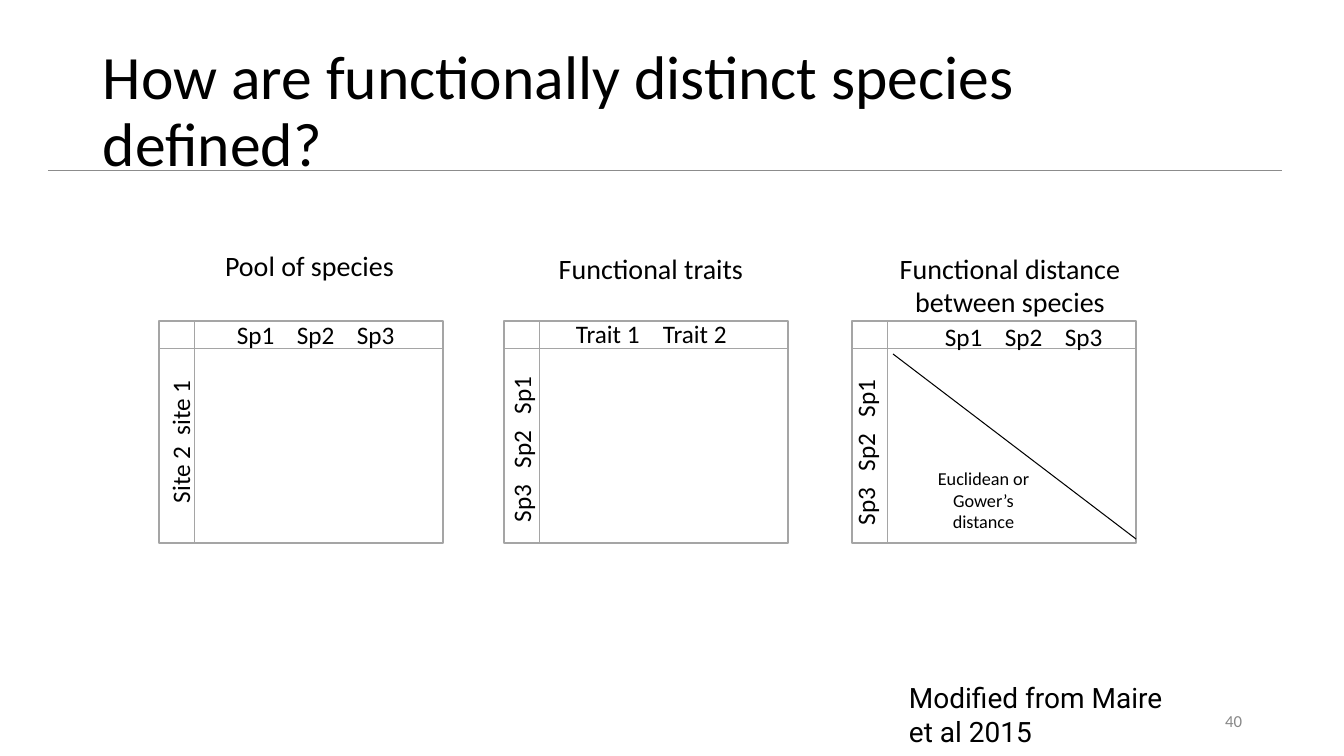
from lxml.etree import SubElement
from pptx import Presentation
from pptx.dml.color import RGBColor
from pptx.enum.shapes import MSO_CONNECTOR as Conn, MSO_SHAPE as Shape
from pptx.enum.text import MSO_ANCHOR as Anchor, PP_ALIGN as Align
from pptx.oxml.ns import qn
from pptx.util import Pt

PX = 9071  # EMU in one px
BLACK = RGBColor(0, 0, 0)
WHITE = RGBColor(255, 255, 255)
GREY = RGBColor(0xA5, 0xA5, 0xA5)
RULE = RGBColor(0x8C, 0x8C, 0x8C)
PALE = RGBColor(0x88, 0x88, 0x88)

deck = Presentation()
deck.slide_width, deck.slide_height = 1344 * PX, 756 * PX
slide = deck.slides.add_slide(deck.slide_layouts[6])
shapes = slide.shapes


def write(lines, at, size, align=Align.LEFT, color=BLACK, face="Calibri",
          anchor=Anchor.TOP, step=0, turn=0):
    box = shapes.add_textbox(*[n * PX for n in at])
    box.rotation = turn
    frame = box.text_frame
    frame.word_wrap = True
    frame.vertical_anchor = anchor
    frame.text = lines
    for para in frame.paragraphs:
        para.alignment = align
        if step:  # evenly spaced tab stops
            tabs = SubElement(para._p.get_or_add_pPr(), qn("a:tabLst"))
            for k in range(1, lines.count("\t") + 1):
                SubElement(tabs, qn("a:tab"), pos=str(k * step * PX), algn="l")
        font = para.font
        font.size, font.name, font.color.rgb = Pt(size), face, color
    return frame


def draw(x1, y1, x2, y2, color):
    line = shapes.add_connector(Conn.STRAIGHT, x1 * PX, y1 * PX, x2 * PX, y2 * PX)
    line.line.color.rgb = color
    line.line.width = Pt(0.75)
    SubElement(line._element.spPr, qn("a:effectLst"))


# Title and rule
title = write("How are functionally distinct species defined?",
              (93, 40, 1120, 146), 44, anchor=Anchor.MIDDLE)
title.paragraphs[0].line_spacing = 0.9
draw(48, 171, 1282, 171, RULE)

# Matrix frames
for left in (159, 504, 852):
    grid = shapes.add_shape(Shape.FLOWCHART_INTERNAL_STORAGE,
                            left * PX, 321 * PX, 284 * PX, 222 * PX)
    grid.shadow.inherit = False
    grid.fill.solid()
    grid.fill.fore_color.rgb = WHITE
    grid.line.color.rgb = GREY
    grid.line.width = Pt(1)

# Headings
for text, at in (
    ("Pool of species", (181, 244, 257, 44)),
    ("Functional traits", (544, 246, 214, 44)),
    ("Functional distance\nbetween species", (885, 246, 250, 78)),
):
    write(text, at, 20, Align.CENTER)

# Column and row labels
for text, at, step, turn in (
    ("Sp1\tSp2\tSp3", (227, 314, 190, 40), 60, 0),
    ("Trait 1\tTrait 2", (566, 313, 180, 40), 87, 0),
    ("Sp1\tSp2\tSp3", (935, 316, 190, 40), 60, 0),
    ("Site 2\tsite 1", (102, 415, 156, 40), 68, 270),
    ("Sp3\tSp2\tSp1", (435, 426, 172, 40), 54, 270),
    ("Sp3\tSp2\tSp1", (779, 429, 172, 40), 54, 270),
):
    write(text, at, 18, step=step, turn=turn)

# Distance matrix diagonal
draw(893, 354, 1136, 539, BLACK)
write("Euclidean or Gower’s\ndistance", (919, 462, 129, 77), 13, Align.CENTER)

# Source and page number
write("Modified from Maire et al 2015", (899, 676, 288, 44), 20, face="Roboto")
write("40", (950, 701, 302, 40), 12, Align.RIGHT, PALE, anchor=Anchor.MIDDLE)

deck.save("out.pptx")
